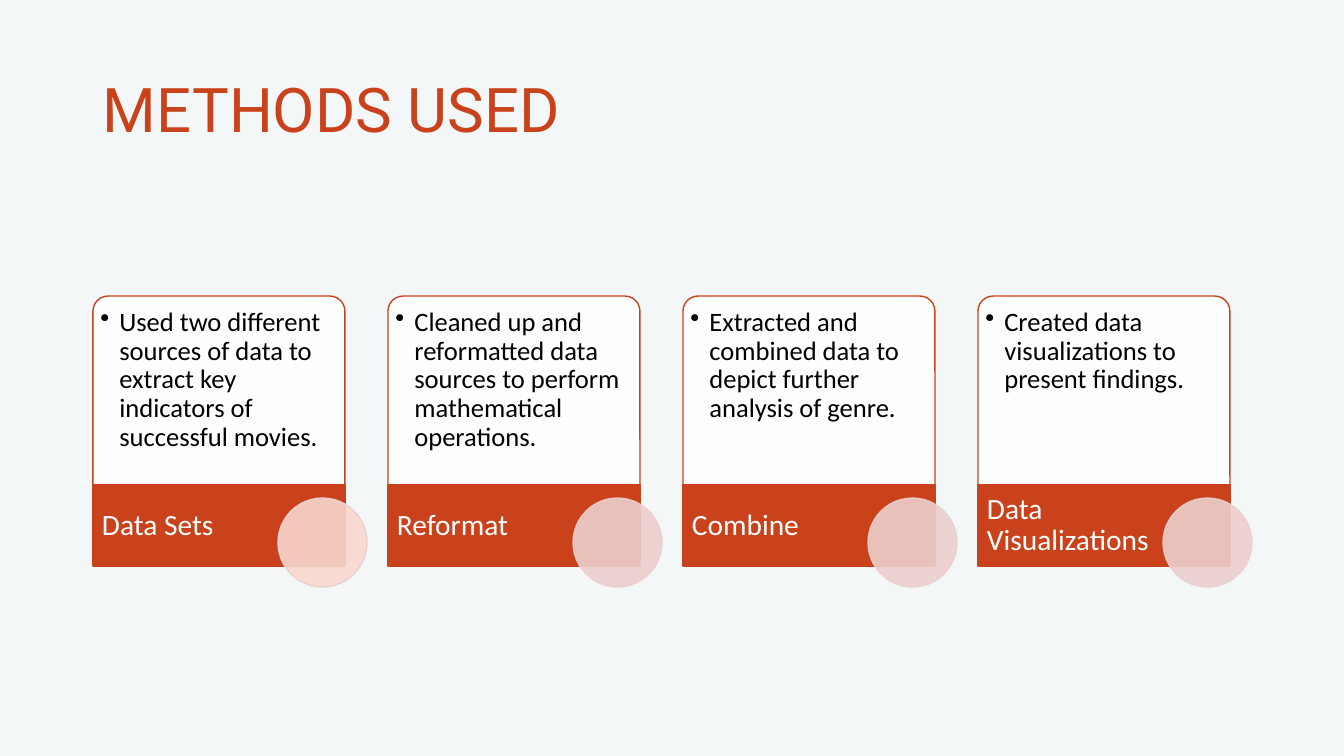
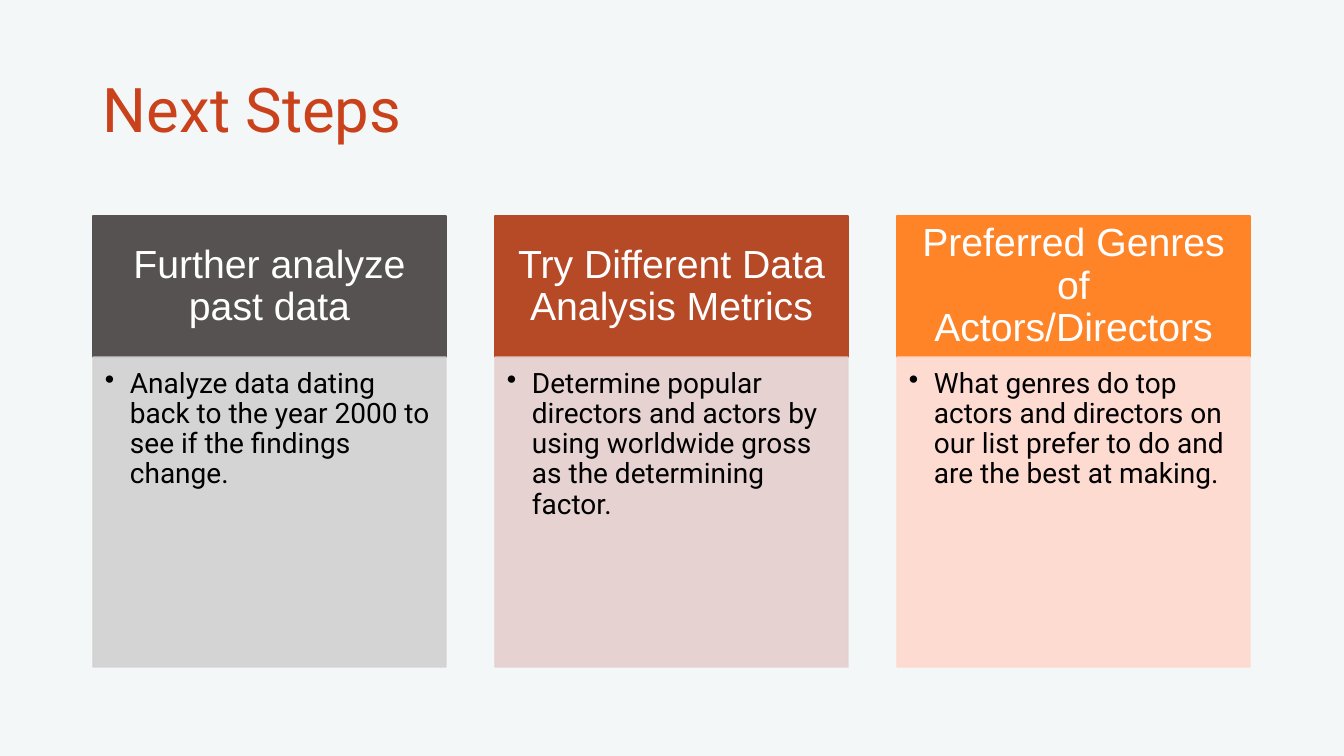
"""Build two slides of cards: the methods used and the next steps."""
from lxml import etree
from pptx import Presentation
from pptx.dml.color import RGBColor
from pptx.enum.shapes import MSO_SHAPE
from pptx.enum.text import MSO_ANCHOR, PP_ALIGN
from pptx.oxml.ns import qn
from pptx.util import Emu, Pt

RECT = MSO_SHAPE.RECTANGLE
ROUND_TOP = MSO_SHAPE.ROUND_2_SAME_RECTANGLE
OVAL = MSO_SHAPE.OVAL
TOP, MIDDLE = MSO_ANCHOR.TOP, MSO_ANCHOR.MIDDLE
LEFT, CENTER = PP_ALIGN.LEFT, PP_ALIGN.CENTER

BACKGROUND, ACCENT = "F3F7F8", "CA421C"
WHITE, BLACK = "FFFFFF", "000000"
PINK, PEACH = "ECCFCD", "F8D7CE"
HEADING, LABEL, PLAIN = "Roboto", "Calibri", "Arial"


def px(n):
    return Emu(round(n * 914400 / 100.8))


def rgb(value):
    return RGBColor.from_string(value)


class Deck:
    """Holds the shared style and the current slide."""

    def __init__(self):
        self.prs = Presentation()
        self.prs.slide_width, self.prs.slide_height = px(1344), px(756)

    def slide(self, title):
        self.s = self.prs.slides.add_slide(self.prs.slide_layouts[6])
        fill = self.s.background.fill
        fill.solid()
        fill.fore_color.rgb = rgb(BACKGROUND)
        sp = self.s.shapes.add_textbox(px(93), px(40), px(725), px(146))
        self.text(sp, title, HEADING, 44, ACCENT, (10, 5, 10, 5), MIDDLE)

    def shape(self, kind, x, y, w, h, fill, line, fill_alpha=100, line_alpha=100):
        sp = self.s.shapes.add_shape(kind, px(x), px(y), px(w), px(h))
        sp.shadow.inherit = False
        sp.line.width = Pt(1)
        for paint, color, alpha in ((sp.fill, fill, fill_alpha),
                                    (sp.line.fill, line, line_alpha)):
            paint.solid()
            paint.fore_color.rgb = rgb(color)
            if alpha < 100:
                clr = list(sp._element.spPr.iter(qn("a:srgbClr")))[-1]
                etree.SubElement(clr, qn("a:alpha"), val=str(alpha * 1000))
        return sp

    def text(self, sp, words, font, size, color, insets, anchor=TOP,
             align=LEFT, bullet=0):
        tf = sp.text_frame
        tf.word_wrap = True
        tf.vertical_anchor = anchor
        (tf.margin_left, tf.margin_top,
         tf.margin_right, tf.margin_bottom) = map(px, insets)
        p = tf.paragraphs[0]
        p.text = words
        p.alignment = align
        p.line_spacing = 0.9
        p.font.name, p.font.size = font, Pt(size)
        p.font.color.rgb = rgb(color)
        if bullet:
            pPr = p._p.get_or_add_pPr()
            pPr.set("marL", str(px(bullet)))
            pPr.set("indent", str(-px(bullet)))
            mark = etree.Element(qn("a:buChar"), char="•")
            pPr.find(qn("a:lnSpc")).addnext(mark)

    def method_card(self, x, label, body, dot, dot_line_alpha):
        sp = self.shape(ROUND_TOP, x, 296, 252, 189, WHITE, ACCENT, 90)
        sp.adjustments[0], sp.adjustments[1] = 0.08, 0
        self.text(sp, body, LABEL, 19, BLACK, (3, 8, 3, 3), bullet=19)
        sp = self.shape(RECT, x, 485, 252, 81, ACCENT, ACCENT)
        self.text(sp, label, LABEL, 21, WHITE, (9, 0, 78, 0), MIDDLE)
        self.shape(OVAL, x + 185, 498, 89, 89, dot, PINK, 90, dot_line_alpha)

    def step_card(self, x, heading, body, strong, pale):
        sp = self.shape(RECT, x, 216, 353, 141, strong, strong)
        self.text(sp, heading, PLAIN, 28, WHITE, (22, 12, 22, 12), MIDDLE, CENTER)
        sp = self.shape(RECT, x, 357, 353, 310, pale, pale, 90, 90)
        self.text(sp, body, HEADING, 20, BLACK, (12, 12, 16, 17), bullet=25)


METHODS = [
    ("Data Sets", "Used two different sources of data to extract key "
     "indicators of successful movies.", PEACH, 100),
    ("Reformat", "Cleaned up and reformatted data sources to perform "
     "mathematical operations.", PINK, 90),
    ("Combine", "Extracted and combined data to depict further analysis "
     "of genre.", PINK, 90),
    ("Data Visualizations", "Created data visualizations to present findings.",
     PINK, 90),
]
STEPS = [
    ("Further analyze past data", "Analyze data dating back to the year 2000 "
     "to see if the findings change.", "575252", "D1D1D1"),
    ("Try Different Data Analysis Metrics", "Determine popular directors and "
     "actors by using worldwide gross as the determining factor.",
     "B64926", "E5D0CD"),
    ("Preferred Genres of Actors/Directors", "What genres do top actors and "
     "directors on our list prefer to do and are the best at making.",
     "FF8427", "FFD9CD"),
]

deck = Deck()
deck.slide("METHODS USED")
for i, method in enumerate(METHODS):
    deck.method_card(93 + 295 * i, *method)

deck.slide("Next Steps")
for i, step in enumerate(STEPS):
    deck.step_card(93 + 402 * i, *step)

deck.prs.save("out.pptx")
